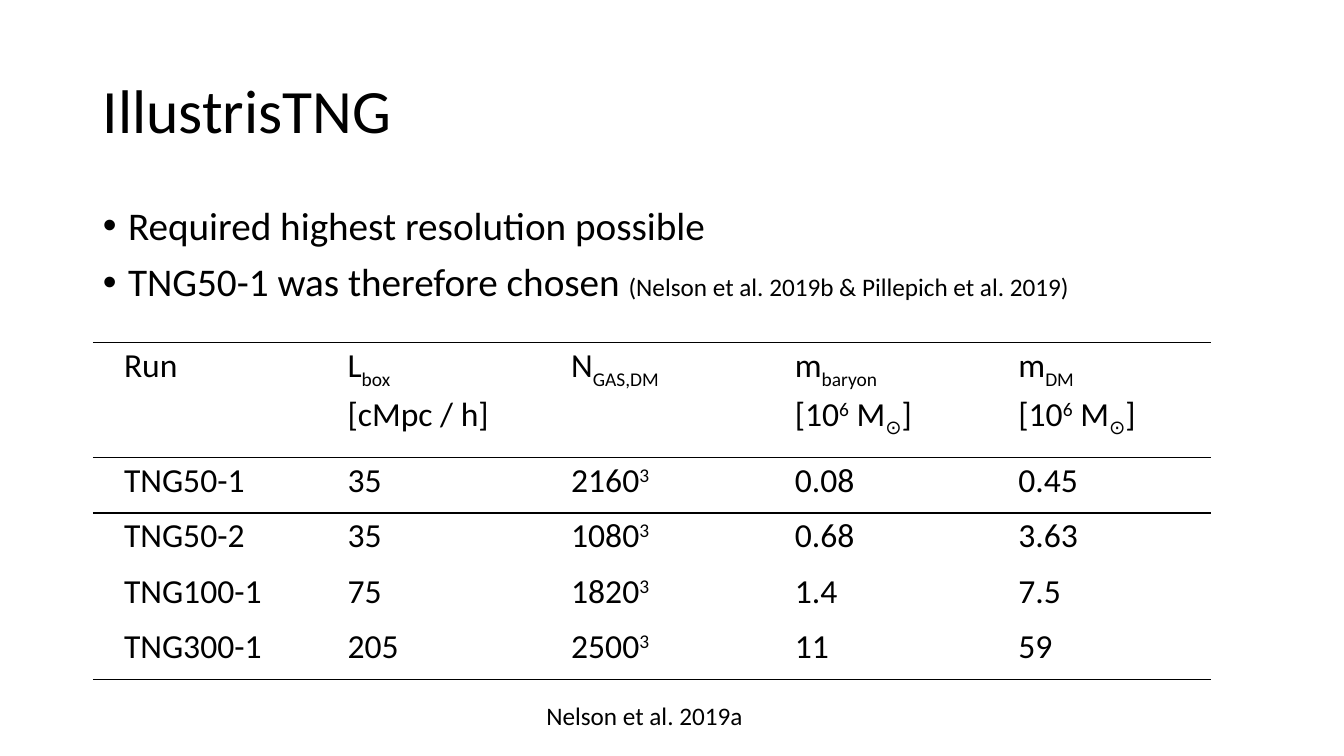
from pptx import Presentation
from pptx.dml.color import RGBColor
from pptx.enum.text import MSO_ANCHOR, MSO_AUTO_SIZE, PP_ALIGN
from pptx.oxml import parse_xml
from pptx.oxml.ns import nsdecls
from pptx.util import Inches, Pt

# Content: each text is a list of runs; "_" lowers a run, "^" raises it
TITLE = "IllustrisTNG"
POINTS = [
    [("Required highest resolution possible", 28)],
    [("TNG50-1 was therefore chosen ", 28),
     ("(Nelson et al. 2019b & Pillepich et al. 2019)", 18)],
]
MASS = ["[10", "^6", " M", "_⊙", "]"]
HEAD = [
    [["Run"]],
    [["L", "_box"], ["[cMpc / h]"]],
    [["N", "_GAS,DM"]],
    [["m", "_baryon"], MASS],
    [["m", "_DM"], MASS],
]
RUNS = [
    ("TNG50-1", "35", "2160", "0.08", "0.45"),
    ("TNG50-2", "35", "1080", "0.68", "3.63"),
    ("TNG100-1", "75", "1820", "1.4", "7.5"),
    ("TNG300-1", "205", "2500", "11", "59"),
]
SOURCE = "Nelson et al. 2019a"
COLORS = {"text": "000000", "rule": "000000"}
FONT = "Calibri"
SHIFT = {"_": "-25000", "^": "30000"}
RULED = {0, 1, 2, 5}  # row edges that carry a line, counted from the top


def style(font, size):
    font.name = FONT
    font.size = Pt(size)
    font.bold = False
    font.color.rgb = RGBColor.from_string(COLORS["text"])


def place(shape, left, top, width, height):
    shape.left, shape.top = Inches(left), Inches(top)
    shape.width, shape.height = Inches(width), Inches(height)


def write(para, parts):
    para.alignment = PP_ALIGN.JUSTIFY
    para.line_spacing = 1.07
    props = para._p.get_or_add_pPr()
    props.set("marL", "0")
    props.set("indent", str(Inches(0.24)))
    for part in parts:
        run = para.add_run()
        run.text = part.lstrip("_^")
        style(run.font, 24)
        if part[0] in SHIFT:
            run._r.get_or_add_rPr().set("baseline", SHIFT[part[0]])


def border(cell, row):
    lines = {"L": False, "R": False, "T": row in RULED, "B": row + 1 in RULED}
    for at, (side, shown) in enumerate(lines.items()):
        fill = "<a:noFill/>"
        if shown:
            fill = f'<a:solidFill><a:srgbClr val="{COLORS["rule"]}"/></a:solidFill>'
        line = f'<a:ln{side} {nsdecls("a")} w="{Pt(1)}">{fill}</a:ln{side}>'
        cell._tc.get_or_add_tcPr().insert(at, parse_xml(line))


deck = Presentation()
deck.slide_width, deck.slide_height = Inches(13.33), Inches(7.5)
slide = deck.slides.add_slide(deck.slide_layouts[1])

# Title
title = slide.shapes.title
place(title, 0.92, 0.4, 11.5, 1.45)
frame = title.text_frame
frame.text = TITLE
frame.vertical_anchor = MSO_ANCHOR.MIDDLE
para = frame.paragraphs[0]
para.alignment = PP_ALIGN.LEFT
para.line_spacing = 0.9
style(para.runs[0].font, 44)

# Bullet list
body = slide.placeholders[1]
place(body, 0.92, 2, 11.5, 4.76)
frame = body.text_frame
for at, point in enumerate(POINTS):
    para = frame.add_paragraph() if at else frame.paragraphs[0]
    props = para._p.get_or_add_pPr()
    props.set("marL", str(Inches(0.25)))
    props.set("indent", str(Inches(-0.25)))
    props.append(parse_xml(f'<a:buChar {nsdecls("a")} char="•"/>'))
    para.line_spacing = 0.9
    para.space_before = Pt(10 if at else 0)
    for text, size in point:
        run = para.add_run()
        run.text = text
        style(run.font, size)

# Table of simulation runs
rows = [HEAD]
for name, box, count, gas, dark in RUNS:
    rows.append([[[name]], [[box]], [[count, "^3"]], [[gas]], [[dark]]])
table = slide.shapes.add_table(
    len(rows), len(HEAD), Inches(0.92), Inches(3.4), Inches(11.09), Inches(3.35)).table
table.first_row = table.horz_banding = False
for col in table.columns:
    col.width = Inches(11.09 / len(HEAD))
for r, row in enumerate(rows):
    table.rows[r].height = Inches(0.55 if r else 1.14)
    for c, lines in enumerate(row):
        cell = table.cell(r, c)
        cell.margin_left = cell.margin_right = Inches(0.07)
        cell.margin_top = cell.margin_bottom = 0
        cell.fill.background()
        border(cell, r)
        for at, parts in enumerate(lines):
            frame = cell.text_frame
            write(frame.add_paragraph() if at else frame.paragraphs[0], parts)

# Table source
note = slide.shapes.add_textbox(Inches(5.32), Inches(6.9), Inches(2.28), Inches(0.4))
frame = note.text_frame
frame.word_wrap = True
frame.auto_size = MSO_AUTO_SIZE.SHAPE_TO_FIT_TEXT
frame.text = SOURCE
style(frame.paragraphs[0].runs[0].font, 18)

deck.save("out.pptx")
